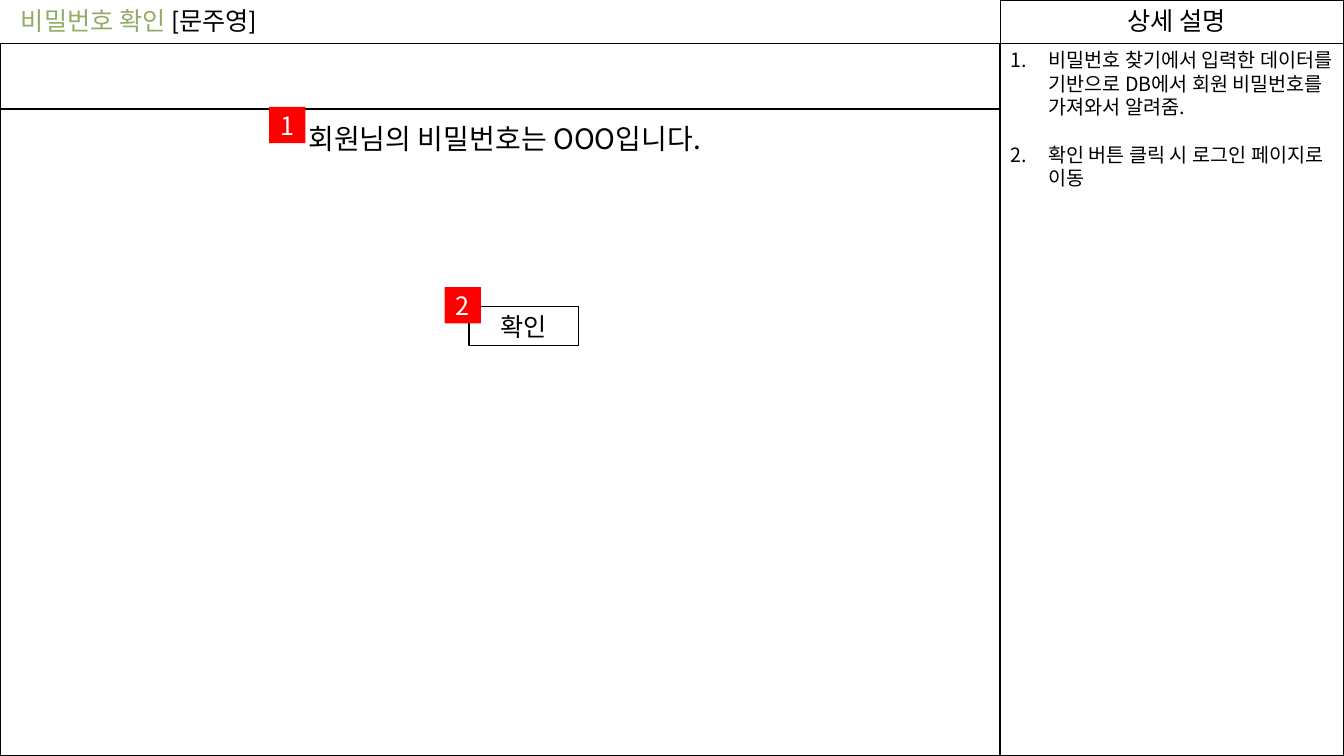
from dataclasses import dataclass

from lxml.etree import SubElement
from pptx import Presentation
from pptx.dml.color import RGBColor
from pptx.enum.shapes import MSO_SHAPE
from pptx.enum.text import MSO_ANCHOR, PP_ALIGN
from pptx.oxml.ns import qn
from pptx.util import Inches, Pt


@dataclass(frozen=True)
class Theme:
    black: RGBColor = RGBColor(0x00, 0x00, 0x00)
    white: RGBColor = RGBColor(0xFF, 0xFF, 0xFF)
    red: RGBColor = RGBColor(0xFF, 0x00, 0x00)
    green: RGBColor = RGBColor(0x92, 0xAC, 0x65)
    korean: str = "Noto Sans CJK KR"
    latin: str = "Lato"
    message: int = 20
    label: int = 18
    note: int = 14


THEME = Theme()

# Page frame: header strip, title band and description column
WIDTH, HEIGHT = 13.33, 7.5
SPLIT = 9.92
HEADER = 0.43
BAND_END = 1.08
MARKER = 0.36


def style_paragraph(para, size, color=THEME.black):
    font = para.font
    font.size = Pt(size)
    font.color.rgb = color
    font.name = THEME.korean
    properties = para._p.get_or_add_pPr().get_or_add_defRPr()
    SubElement(properties, qn("a:ea")).set("typeface", THEME.korean)


def add_panel(page, left, top, width, height, fill=THEME.white, outlined=True):
    panel = page.shapes.add_shape(
        MSO_SHAPE.RECTANGLE, Inches(left), Inches(top), Inches(width), Inches(height))
    panel.shadow.inherit = False
    panel.fill.solid()
    panel.fill.fore_color.rgb = fill
    if outlined:
        panel.line.color.rgb = THEME.black
        panel.line.width = Pt(1)
    else:
        panel.line.fill.background()
    return panel


def add_caption(panel, text, color=THEME.black):
    frame = panel.text_frame
    frame.vertical_anchor = MSO_ANCHOR.MIDDLE
    para = frame.paragraphs[0]
    para.text = text
    para.alignment = PP_ALIGN.CENTER
    style_paragraph(para, THEME.label, color)


def add_marker(page, number, left, top):
    marker = add_panel(page, left, top, MARKER, MARKER, THEME.red, outlined=False)
    add_caption(marker, str(number), THEME.white)


def add_text_box(page, left, top, width, height, wrap=False):
    box = page.shapes.add_textbox(Inches(left), Inches(top), Inches(width), Inches(height))
    box.text_frame.word_wrap = wrap
    return box.text_frame


def add_label(page, text, size, left, top, width, height):
    para = add_text_box(page, left, top, width, height).paragraphs[0]
    para.text = text
    style_paragraph(para, size)


def add_title(page, title, author):
    para = add_text_box(page, 0.11, 0, 2.55, 0.4, wrap=True).paragraphs[0]
    para.font.size = Pt(THEME.label)
    for text, name, color in ((title, THEME.korean, THEME.green),
                              (author, THEME.latin, THEME.black)):
        span = para.add_run()
        span.text = text
        span.font.name = name
        span.font.color.rgb = color


def add_numbered_notes(page, notes):
    frame = add_text_box(page, SPLIT, HEADER, WIDTH - SPLIT, 1.75, wrap=True)
    for index, note in enumerate(notes):
        para = frame.add_paragraph() if index else frame.paragraphs[0]
        para.text = note
        if index:
            para.space_before = Pt(17)
        properties = para._p.get_or_add_pPr()
        properties.set("marL", str(Inches(0.38)))
        properties.set("indent", str(-Inches(0.38)))
        SubElement(properties, qn("a:buFont")).set("typeface", "+mj-lt")
        SubElement(properties, qn("a:buAutoNum")).set("type", "arabicPeriod")
        style_paragraph(para, THEME.note)


def main():
    deck = Presentation()
    deck.slide_width, deck.slide_height = Inches(WIDTH), Inches(HEIGHT)
    page = deck.slides.add_slide(deck.slide_layouts[6])

    # Description column
    add_panel(page, SPLIT, HEADER, WIDTH - SPLIT, HEIGHT - HEADER)
    add_panel(page, SPLIT, 0, WIDTH - SPLIT, HEADER)
    add_label(page, "상세 설명", THEME.label, 11.08, 0, 1.3, 0.4)

    # Screen area
    add_panel(page, 0, HEADER, SPLIT, BAND_END - HEADER)
    add_panel(page, 0, BAND_END, SPLIT, HEIGHT - BAND_END)
    add_label(page, "회원님의 비밀번호는 OOO입니다.", THEME.message, 2.96, 1.16, 4.48, 0.44)
    add_title(page, "비밀번호 확인 ", "[문주영]")

    add_numbered_notes(page, (
        "비밀번호 찾기에서 입력한 데이터를 기반으로 DB에서 회원 비밀번호를 가져와서 알려줌.",
        "확인 버튼 클릭 시 로그인 페이지로 이동",
    ))

    # Confirm button and numbered markers
    add_caption(add_panel(page, 4.65, 3.04, 1.09, 0.39), "확인")
    for number, (left, top) in enumerate(((2.67, 1.06), (4.41, 2.85)), start=1):
        add_marker(page, number, left, top)

    deck.save("out.pptx")


if __name__ == "__main__":
    main()
